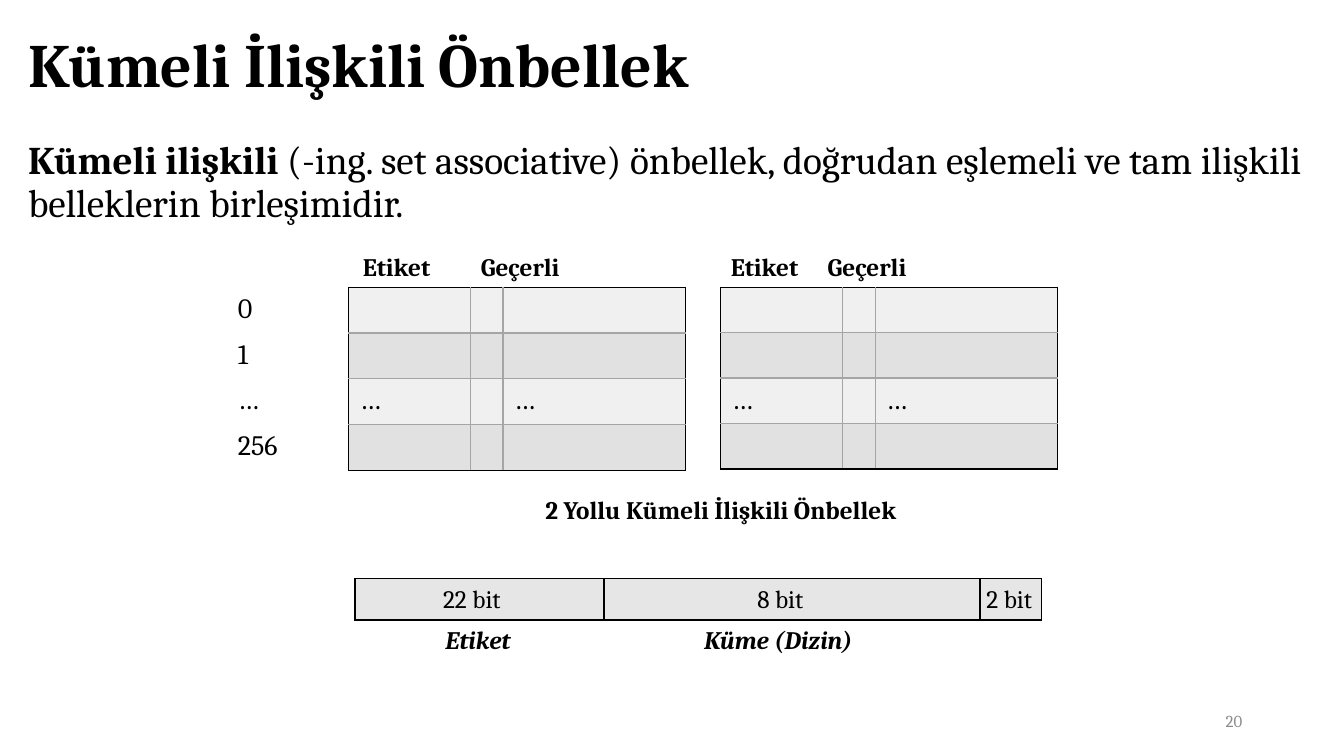
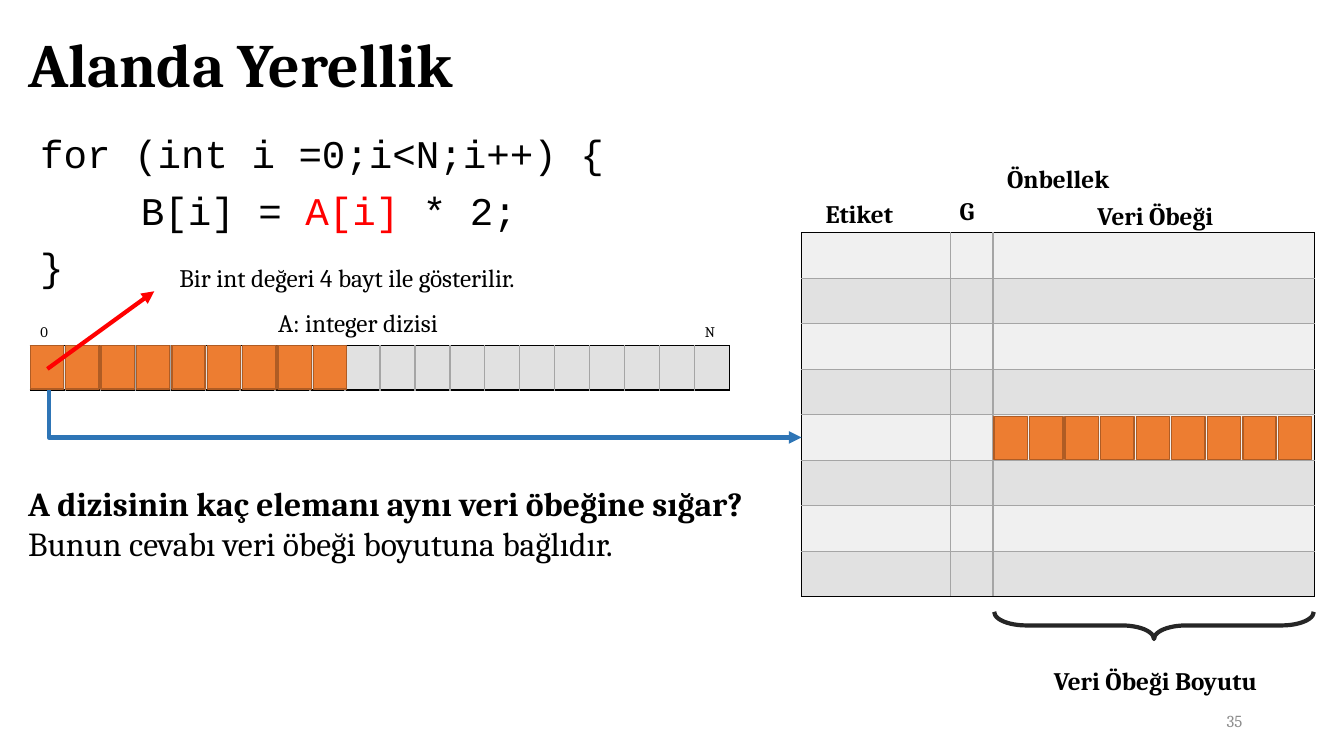
from dataclasses import dataclass
from typing import NamedTuple

from lxml import etree
from pptx import Presentation
from pptx.dml.color import RGBColor
from pptx.enum.shapes import MSO_CONNECTOR, MSO_SHAPE
from pptx.enum.text import MSO_ANCHOR, PP_ALIGN
from pptx.oxml.ns import qn
from pptx.util import Inches, Pt

LEFT, MID, RIGHT = PP_ALIGN.LEFT, PP_ALIGN.CENTER, PP_ALIGN.RIGHT
TOP, CENTER, BOTTOM = MSO_ANCHOR.TOP, MSO_ANCHOR.MIDDLE, MSO_ANCHOR.BOTTOM
RECT, BRACE = MSO_SHAPE.RECTANGLE, MSO_SHAPE.RIGHT_BRACE
STRAIGHT, ELBOW = MSO_CONNECTOR.STRAIGHT, MSO_CONNECTOR.ELBOW

SERIF, MONO = "Cambria", "Courier New"
COLORS = {
    "black": "000000",
    "white": "FFFFFF",
    "gray": "8C8C8C",
    "rule": "A5A5A5",
    "light": "F0F0F0",
    "dark": "E1E1E1",
    "field": "E7E6E6",
    "orange": "ED7D31",
    "rust": "AF5C24",
    "blue": "2E75B6",
    "red": "FF0000",
    "brace": "262626",
}
BANDS = ("light", "dark")


class Run(NamedTuple):
    text: str
    bold: bool | None = None
    color: str | None = None


class Para(NamedTuple):
    runs: list[Run]
    indent: float = 0


class Label(NamedTuple):
    text: str
    x: float
    y: float
    width: float
    bold: bool = True
    italic: bool = False
    align: PP_ALIGN = LEFT


class Strip(NamedTuple):
    first: float
    last: float
    y: float


@dataclass
class Style:
    size: float = 18
    font: str = SERIF
    color: str = "black"
    bold: bool = False
    italic: bool = False
    align: PP_ALIGN = LEFT
    anchor: MSO_ANCHOR = TOP
    line: float | None = None
    before: float | None = None


@dataclass
class Grid:
    x: float
    y: float
    cols: list[float]
    row: float
    count: int
    fills: tuple[str, ...] = BANDS
    inner: str = "rule"
    top: int = 0
    left: int = 0
    size: float = 18
    anchor: MSO_ANCHOR = TOP
    inset: tuple[float, float] = (0.1, 0.05)


def rgb(name: str) -> RGBColor:
    return RGBColor.from_string(COLORS[name])


def set_font(para, style: Style) -> None:
    font = para.font
    font.name, font.size = style.font, Pt(style.size)
    font.bold, font.italic = style.bold, style.italic
    font.color.rgb = rgb(style.color)


def add_text(slide, x: float, y: float, width: float, height: float,
             paras: list[Para], style: Style) -> None:
    frame = slide.shapes.add_textbox(
        Inches(x), Inches(y), Inches(width), Inches(height)).text_frame
    frame.word_wrap = True
    frame.vertical_anchor = style.anchor
    for index, item in enumerate(paras):
        para = frame.add_paragraph() if index else frame.paragraphs[0]
        para.alignment = style.align
        if style.line:
            para.line_spacing = style.line
        if style.before:
            para.space_before = Pt(style.before)
        if item.indent:
            para._p.get_or_add_pPr().set("marL", str(Inches(item.indent)))
        set_font(para, style)
        for part in item.runs:
            run = para.add_run()
            run.text = part.text
            if part.bold is not None:
                run.font.bold = part.bold
            if part.color:
                run.font.color.rgb = rgb(part.color)


def add_labels(slide, labels: list[Label]) -> None:
    for label in labels:
        style = Style(bold=label.bold, italic=label.italic, align=label.align)
        add_text(slide, label.x, label.y, label.width, 0.4,
                 [Para([Run(label.text)])], style)


def set_edges(cell, edges: dict[str, str]) -> None:
    props = cell._tc.get_or_add_tcPr()
    sides = [side for side in "LRTB" if side in edges]
    for index, side in enumerate(sides):
        line = etree.Element(qn(f"a:ln{side}"), w=str(Pt(1)))
        fill = etree.SubElement(line, qn("a:solidFill"))
        etree.SubElement(fill, qn("a:srgbClr"), val=COLORS[edges[side]])
        props.insert(index, line)


def cell_look(grid: Grid, row: int, col: int) -> tuple[str, dict[str, str]]:
    if row < grid.top or col < grid.left:
        edges = {}
        if col == grid.left - 1:
            edges["R"] = "black"
        if row == grid.top - 1:
            edges["B"] = "black"
        return "white", edges
    outer = {
        "L": col == grid.left,
        "R": col == len(grid.cols) - 1,
        "T": row == grid.top,
        "B": row == grid.count - 1,
    }
    edges = {side: "black" if out else grid.inner
             for side, out in outer.items()}
    return grid.fills[(row - grid.top) % len(grid.fills)], edges


def add_grid(slide, grid: Grid,
             texts: dict[tuple[int, int], str] | None = None) -> None:
    texts = texts or {}
    table = slide.shapes.add_table(
        grid.count, len(grid.cols), Inches(grid.x), Inches(grid.y),
        Inches(sum(grid.cols)), Inches(grid.row * grid.count)).table
    table.first_row = table.horz_banding = False
    for col, width in enumerate(grid.cols):
        table.columns[col].width = Inches(width)
    for row in range(grid.count):
        table.rows[row].height = Inches(grid.row)
        for col in range(len(grid.cols)):
            cell = table.cell(row, col)
            fill, edges = cell_look(grid, row, col)
            cell.fill.solid()
            cell.fill.fore_color.rgb = rgb(fill)
            set_edges(cell, edges)
            cell.vertical_anchor = grid.anchor
            text = texts.get((row, col))
            if text:
                cell.text = text
                side, edge = grid.inset
                cell.margin_left = cell.margin_right = Inches(side)
                cell.margin_top = cell.margin_bottom = Inches(edge)
            size = grid.size if text else min(grid.size, 18)
            set_font(cell.text_frame.paragraphs[0], Style(size=size))


def add_arrow(slide, kind: MSO_CONNECTOR, start: tuple[float, float],
              end: tuple[float, float], color: str,
              bend: int | None = None) -> None:
    arrow = slide.shapes.add_connector(
        kind, *(Inches(value) for value in (*start, *end)))
    arrow.line.color.rgb = rgb(color)
    arrow.line.width = Pt(3)
    etree.SubElement(arrow.line._get_or_add_ln(), qn("a:tailEnd"),
                     type="triangle")
    props = arrow._element.spPr
    etree.SubElement(props, qn("a:effectLst"))
    if bend is not None:
        guides = props.find(qn("a:prstGeom")).find(qn("a:avLst"))
        etree.SubElement(guides, qn("a:gd"), name="adj1", fmla=f"val {bend}")


def add_strip(slide, strip: Strip, count: int = 9) -> None:
    step = (strip.last - strip.first) / (count - 1)
    for index in range(count):
        box = slide.shapes.add_shape(
            RECT, Inches(strip.first + index * step), Inches(strip.y),
            Inches(0.33), Inches(0.43))
        box.shadow.inherit = False
        box.fill.solid()
        box.fill.fore_color.rgb = rgb("orange")
        box.line.color.rgb = rgb("rust")
        box.line.width = Pt(1)


def add_brace(slide) -> None:
    brace = slide.shapes.add_shape(
        BRACE, Inches(11.31), Inches(4.62), Inches(0.27), Inches(3.17))
    brace.rotation = 90
    brace.adjustments[0], brace.adjustments[1] = 1.18, 0.5
    brace.shadow.inherit = False
    brace.fill.background()
    brace.line.color.rgb = rgb("brace")
    brace.line.width = Pt(3)


def new_slide(deck, title: str, number: int):
    slide = deck.slides.add_slide(deck.slide_layouts[6])
    add_text(slide, 0.18, 0.15, 12.86, 1.04, [Para([Run(title)])],
             Style(size=44, bold=True, anchor=CENTER, line=0.9))
    add_text(slide, 9.42, 6.95, 3, 0.4, [Para([Run(str(number))])],
             Style(size=12, color="gray", align=RIGHT, anchor=CENTER))
    return slide


def set_slide(deck) -> None:
    slide = new_slide(deck, "Kümeli İlişkili Önbellek", 20)
    add_text(slide, 0.18, 1.35, 12.86, 5.4, [Para([
        Run("Kümeli ilişkili ", bold=True),
        Run("(-ing. set associative) önbellek, doğrudan eşlemeli ve tam "
            "ilişkili belleklerin birleşimidir."),
    ])], Style(size=28, line=0.9, before=10))
    way = [1.21, 0.32, 1.81]
    names = {(row, 0): name for row, name in enumerate(("0", "1", "…", "256"))}
    add_grid(slide, Grid(2.25, 2.85, [1.21, *way], 0.45, 4, left=1, size=20,
                         inset=(0.11, 0.06)),
             {**names, (2, 1): "…", (2, 3): "…"})
    add_grid(slide, Grid(7.15, 2.85, way, 0.45, 4, size=20,
                         inset=(0.11, 0.06)), {(2, 0): "…", (2, 2): "…"})
    add_grid(slide, Grid(3.52, 5.74, [2.47, 3.73, 0.61], 0.41, 1,
                         fills=("field",), inner="black", size=12))
    add_labels(slide, [
        Label("Etiket", 3.5, 2.44, 1.91),
        Label("Geçerli", 4.67, 2.44, 1.91),
        Label("Etiket", 7.15, 2.44, 1.91),
        Label("Geçerli", 8.11, 2.44, 1.91),
        Label("2 Yollu Kümeli İlişkili Önbellek", 4.58, 4.85, 5.14, align=MID),
        Label("Etiket", 3.52, 6.14, 2.44, italic=True, align=MID),
        Label("Küme (Dizin)", 6.5, 6.14, 2.44, italic=True, align=MID),
        Label("22 bit", 3.72, 5.74, 1.92, bold=False, align=MID),
        Label("8 bit", 6.78, 5.74, 1.92, bold=False, align=MID),
        Label("2 bit", 9.05, 5.74, 1.92, bold=False, align=MID),
    ])


def space_slide(deck) -> None:
    slide = new_slide(deck, "Alanda Yerellik", 35)
    add_text(slide, 0.3, 1.29, 7.18, 3.48, [
        Para([Run("for (int i =0;i<N;i++) {")]),
        Para([Run("B[i] = "), Run("A[i]", color="red"), Run(" * 2;")], 1),
        Para([Run("}")]),
    ], Style(size=28, font=MONO, line=0.9, before=10))
    add_grid(slide, Grid(0.3, 2.99, [6.94 / 20] * 20, 0.44, 2,
                         fills=("dark",), top=1, size=10.5, anchor=BOTTOM),
             {(0, 0): "0", (0, 19): "N"})
    add_grid(slide, Grid(7.95, 2.31, [1.48, 0.42, 3.19], 3.61 / 8, 8))
    add_arrow(slide, ELBOW, (0.47, 3.86), (7.95, 4.34), "blue", bend=200)
    for strip in (Strip(0.3, 3.11, 3.43), Strip(9.86, 12.68, 4.13)):
        add_strip(slide, strip)
    add_text(slide, 0.18, 4.74, 7.61, 0.91, [
        Para([Run("A dizisinin kaç elemanı aynı veri öbeğine sığar?",
                  bold=True)]),
        Para([Run("Bunun cevabı veri öbeği boyutuna bağlıdır.")]),
    ], Style(size=24))
    add_brace(slide)
    add_arrow(slide, STRAIGHT, (0.47, 3.66), (1.53, 2.89), "red")
    add_labels(slide, [
        Label("A: integer dizisi", 2.66, 3, 5.43, bold=False),
        Label("Bir int değeri 4 bayt ile gösterilir.", 1.68, 2.55, 4.06,
              bold=False),
        Label("Etiket", 8.09, 1.92, 1.73),
        Label("G", 9.42, 1.89, 1.22),
        Label("Önbellek", 7.95, 1.57, 5.09, align=MID),
        Label("Veri Öbeği", 9.88, 1.94, 3.16, align=MID),
        Label("Veri Öbeği Boyutu", 9.88, 6.55, 3.16, align=MID),
    ])


def main() -> None:
    deck = Presentation()
    deck.slide_width, deck.slide_height = Inches(13.33), Inches(7.5)
    set_slide(deck)
    space_slide(deck)
    deck.save("out.pptx")


if __name__ == "__main__":
    main()
